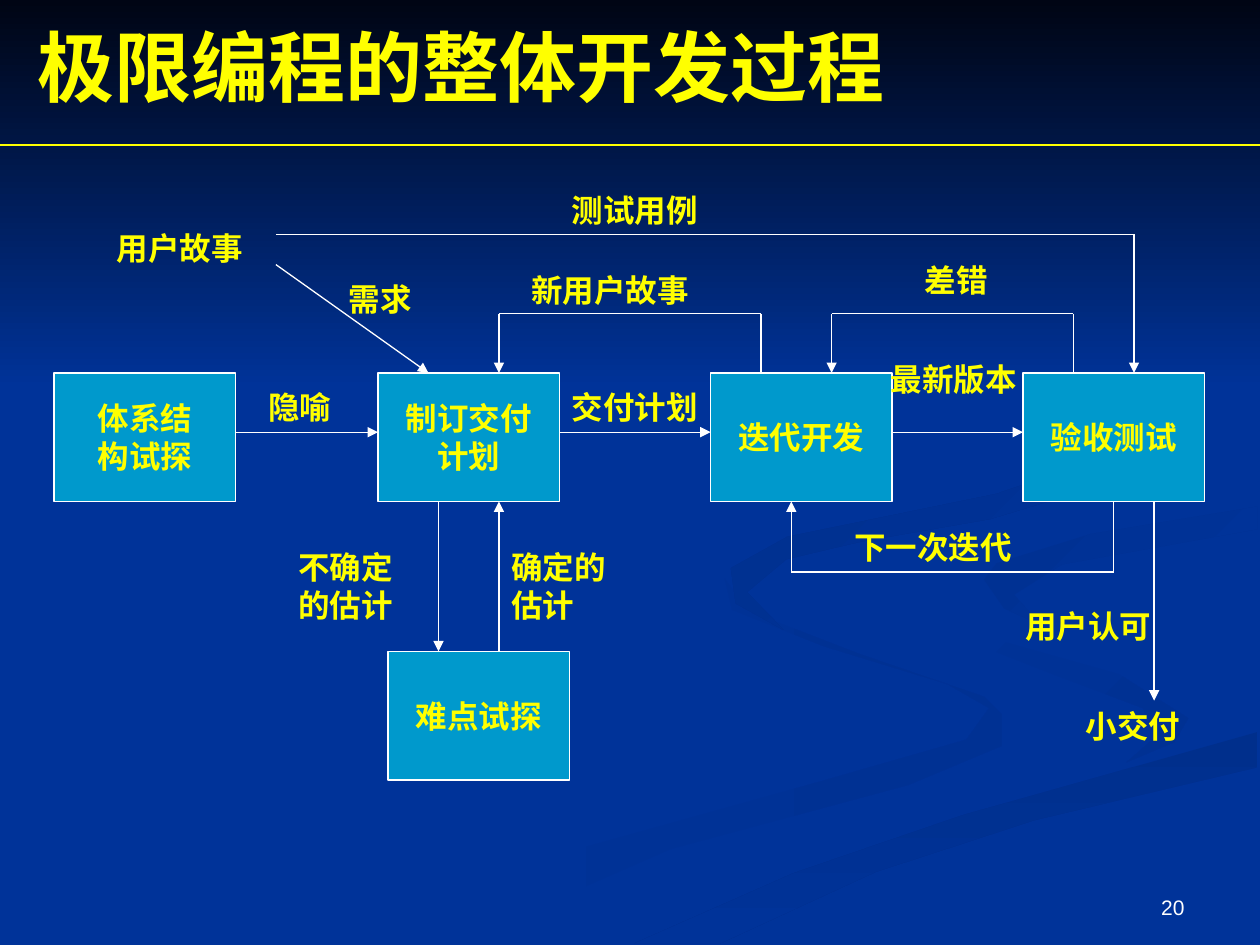
import itertools

import pptx
import pptx.dml.color
import pptx.enum.shapes
import pptx.enum.text
import pptx.oxml.ns
import pptx.util
from lxml import etree

RGBColor = pptx.dml.color.RGBColor
Align = pptx.enum.text.PP_ALIGN
Anchor = pptx.enum.text.MSO_ANCHOR
AutoSize = pptx.enum.text.MSO_AUTO_SIZE
Preset = pptx.enum.shapes.MSO_SHAPE
qn = pptx.oxml.ns.qn

SCALE = 9144
BLUE = RGBColor(0x00, 0x33, 0x99)
NIGHT = RGBColor(0x00, 0x05, 0x14)
SHADE = RGBColor(0x00, 0x31, 0x93)
DEEP = RGBColor(0x00, 0x2F, 0x8C)
TEAL = RGBColor(0x00, 0x99, 0xCC)
YELLOW = RGBColor(0xFF, 0xFF, 0x00)
WHITE = RGBColor(0xFF, 0xFF, 0xFF)

RIBBONS = [
    (BLUE, SHADE, 0, [
        (781, 553), (682, 519), (594, 485), (575, 459), (581, 484), (654, 513),
        (752, 543), (785, 562), (767, 587), (652, 620), (458, 674), (300, 749),
        (361, 749), (532, 674), (721, 623), (795, 592), (795, 567)]),
    (BLUE, SHADE, 315, [
        (943, 570), (888, 535), (774, 503), (724, 464), (746, 500), (838, 536),
        (907, 562), (917, 585), (894, 605), (932, 589)]),
    (DEEP, BLUE, 270, [
        (503, 749), (571, 749), (695, 692), (821, 651), (998, 609), (998, 581),
        (764, 647), (630, 693)]),
    (SHADE, BLUE, 315, [
        (781, 460), (797, 483), (826, 496), (805, 472), (843, 448), (998, 420),
        (998, 402), (865, 424), (791, 447)]),
    (DEEP, BLUE, 315, [
        (683, 430), (786, 412), (855, 391), (889, 362), (890, 324), (843, 275),
        (762, 233), (846, 279), (889, 335), (870, 365), (791, 392), (625, 426),
        (580, 451), (584, 479), (622, 500), (593, 470), (624, 444)]),
]

STEPS = {"体系结\n构试探": 0, "制订交付\n计划": 257, "迭代开发": 521, "验收测试": 769}
NODE_WIDTH, NODE_HEIGHT = 144, 102
ROW_TOP = 149
ROW_BOTTOM = ROW_TOP + NODE_HEIGHT
SPIKE_TOP = 370

LABELS = [
    ("隐喻", 160, 156),
    ("交付计划", 401, 156),
    ("最新版本", 654, 134),
    ("需求", 224, 70),
    ("新用户故事", 369, 63),
    ("差错", 681, 55),
    ("下一次迭代", 625, 267),
    ("用户认可", 761, 330),
    ("小交付", 809, 409),
    ("测试用例", 401, 0),
    ("用户故事", 40, 30),
]
WRAPPED_LABELS = {"不确定的估计": 184, "确定的估计": 353}


def px(*lengths):
    return [pptx.util.Emu(length * SCALE) for length in lengths]


def write(shape, text, size, color, font, align, anchor, bold=True, wrap=True):
    frame = shape.text_frame
    frame.text = text
    frame.word_wrap = wrap
    frame.vertical_anchor = anchor
    for para in frame.paragraphs:
        para.alignment = align
        for span in para.runs:
            span.font.size = pptx.util.Pt(size)
            span.font.name = font
            span.font.bold = bold
            span.font.color.rgb = color


def draw_line(page, start, end, color, arrow=False):
    line = page.shapes.add_connector(
        pptx.enum.shapes.MSO_CONNECTOR.STRAIGHT, *px(*start, *end))
    line.line.color.rgb = color
    line.line.width = pptx.util.Pt(0.75)
    if arrow:
        outline = line.element.spPr.find(qn("a:ln"))
        etree.SubElement(outline, qn("a:tailEnd"), type="triangle")
    etree.SubElement(line.element.spPr, qn("a:effectLst"))


def shade(shape, first, last, angle):
    shape.shadow.inherit = False
    shape.line.fill.background()
    shape.fill.gradient()
    shape.fill.gradient_angle = angle
    for stop, color in zip(shape.fill.gradient_stops, (first, last)):
        stop.color.rgb = color


def add_backdrop(page, left, top, width):
    page.background.fill.solid()
    page.background.fill.fore_color.rgb = BLUE
    for first, last, angle, points in RIBBONS:
        outline = page.shapes.build_freeform(*points[0], scale=SCALE)
        outline.add_line_segments(points[1:], close=True)
        shade(outline.convert_to_shape(*px(left, top)), first, last, angle)
    band = page.shapes.add_shape(Preset.RECTANGLE, *px(left, top, width, 308))
    shade(band, NIGHT, BLUE, 270)


def add_heading(page, left, top, width):
    title = page.shapes.title
    page.shapes.element.append(title.element)
    title.left, title.top, title.width, title.height = px(left + 20, top + 14, width - 47, 77)
    write(title, "极限编程的整体开发过程", 44, YELLOW, "Times New Roman", Align.LEFT, Anchor.MIDDLE)
    title.text_frame.auto_size = AutoSize.NONE
    draw_line(page, (left, top + 115), (left + width, top + 115), YELLOW)


def add_node(page, text, left, top):
    node = page.shapes.add_shape(Preset.RECTANGLE, *px(left, top, NODE_WIDTH, NODE_HEIGHT))
    node.shadow.inherit = False
    node.fill.solid()
    node.fill.fore_color.rgb = TEAL
    node.line.color.rgb = WHITE
    node.line.width = pptx.util.Pt(0.75)
    write(node, text, 18, YELLOW, "Times New Roman", Align.CENTER, Anchor.MIDDLE, wrap=False)


def add_label(page, text, left, top, width, height):
    label = page.shapes.add_textbox(*px(left, top, width, height))
    write(label, text, 18, YELLOW, "Times New Roman", Align.LEFT, Anchor.TOP)
    label.text_frame.auto_size = AutoSize.SHAPE_TO_FIT_TEXT


def process_routes():
    for before, after in itertools.pairwise(STEPS.values()):
        yield [(before + NODE_WIDTH, ROW_TOP + 47), (after, ROW_TOP + 47)]
    for start, end, edge, turn in [
        (561, 353, ROW_TOP, 102), (809, 617, ROW_TOP, 102), (841, 585, ROW_BOTTOM, 307),
    ]:
        yield [(start, edge), (start, turn), (end, turn), (end, edge)]
    yield [(305, ROW_BOTTOM), (305, SPIKE_TOP)]
    yield [(353, SPIKE_TOP), (353, ROW_BOTTOM)]
    yield [(176, 39), (857, 39), (857, ROW_TOP)]
    yield [(176, 63), (297, ROW_TOP)]
    yield [(873, ROW_BOTTOM), (873, 409)]


def add_process(page, left, top):
    for text, x in STEPS.items():
        add_node(page, text, left + x, top + ROW_TOP)
    add_node(page, "难点试探", left + 265, top + SPIKE_TOP)
    for route in process_routes():
        points = [(left + x, top + y) for x, y in route]
        for start, end in itertools.pairwise(points):
            draw_line(page, start, end, WHITE, arrow=end == points[-1])
    for text, x, y in LABELS:
        add_label(page, text, left + x, top + y, 24 + 28 * len(text), 40)
    for text, x in WRAPPED_LABELS.items():
        add_label(page, text, left + x, top + 283, 112, 70)


def add_page_number(page, left, top, width, height):
    number = page.shapes.add_textbox(*px(left, top, width, height))
    write(number, "20", 12, WHITE, "Arial", Align.RIGHT, Anchor.BOTTOM, bold=False)


def main():
    deck = pptx.Presentation()
    deck.slide_width, deck.slide_height = px(1000, 750)
    page = deck.slides.add_slide(deck.slide_layouts[5])
    add_backdrop(page, 0, 0, 1000)
    add_page_number(page, 717, 683, 233, 52)
    add_heading(page, 0, 0, 1000)
    add_process(page, 43, 147)
    deck.save("out.pptx")


if __name__ == "__main__":
    main()
